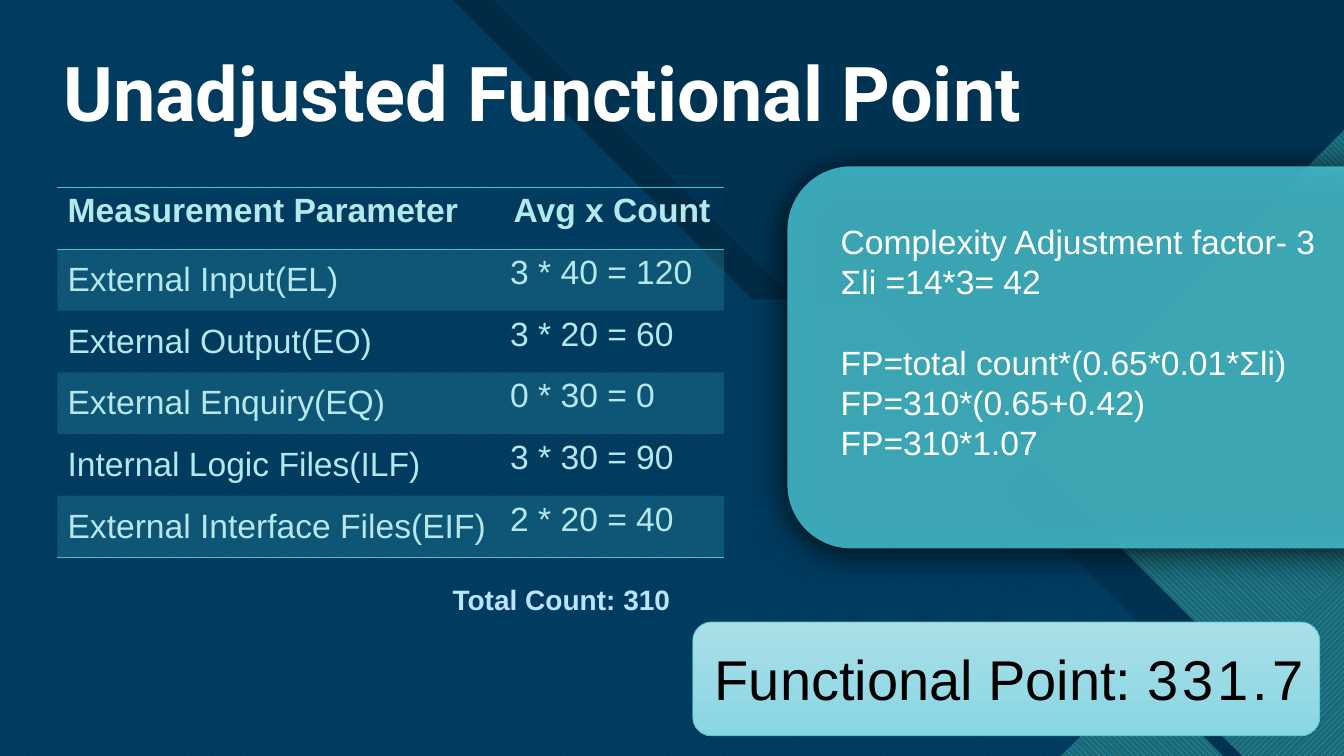
from dataclasses import dataclass
from lxml.etree import SubElement
from pptx import Presentation
from pptx.dml.color import RGBColor
from pptx.enum.dml import MSO_PATTERN
from pptx.enum.shapes import MSO_SHAPE
from pptx.enum.text import MSO_ANCHOR, PP_ALIGN
from pptx.oxml.ns import qn
from pptx.util import Inches, Pt


@dataclass(frozen=True)
class Theme:
    navy: str = "003352"
    black: str = "000000"
    white: str = "FFFFFF"
    aqua: str = "47C3D3"
    teal: str = "1B6872"
    azure: str = "2FAFFF"
    blue: str = "0065A4"
    pale_aqua: str = "B5E7ED"
    pale_blue: str = "BAE4FF"
    result_top: str = "AADFE8"
    result_bottom: str = "89D6E3"
    heading_font: str = "Roboto"
    body_font: str = "Arial"
    title: int = 54
    result: int = 40
    body: int = 24
    total: int = 20


UP = MSO_PATTERN.WIDE_UPWARD_DIAGONAL
DOWN = MSO_PATTERN.WIDE_DOWNWARD_DIAGONAL


def band(top, step, foot):
    return [(0, 0), (top, 0), (top + 2.97, 2.97), (top + 2.97 + step, 2.97), *foot, (0, 7.5)]


class SlideBuilder:
    def __init__(self, page, theme):
        self.page = page
        self.theme = theme

    def font(self, size, color, bold=False, name=None):
        return {"name": name or self.theme.body_font, "size": Pt(size), "bold": bold, "color": color}

    def apply(self, target, values):
        for key, value in values.items():
            if key == "color":
                target.color.rgb = RGBColor.from_string(value)
            else:
                setattr(target, key, value)

    def paint(self, fill, color, element=None, alpha=None):
        fill.solid()
        fill.fore_color.rgb = RGBColor.from_string(color)
        if alpha is not None:
            tint = next(element.iter(qn("a:srgbClr")))
            SubElement(tint, qn("a:alpha"), val=str(alpha * 1000))

    def outline(self, points, color, back=None, pattern=None, alpha=None):
        corners = [(Inches(x), Inches(y)) for x, y in points]
        builder = self.page.shapes.build_freeform(*corners[0])
        builder.add_line_segments(corners[1:], close=True)
        shape = builder.convert_to_shape()
        shape.shadow.inherit = False
        shape.line.fill.background()
        if pattern is None:
            self.paint(shape.fill, color, shape._element.spPr, alpha)
        else:
            shape.fill.patterned()
            shape.fill.pattern = pattern
            shape.fill.fore_color.rgb = RGBColor.from_string(color)
            shape.fill.back_color.rgb = RGBColor.from_string(back)

    def shape(self, kind, place):
        shape = self.page.shapes.add_shape(kind, *map(Inches, place))
        shape.shadow.inherit = False
        shape.line.fill.background()
        return shape

    def shadow(self, shape, blur, distance):
        effects = shape._element.spPr.find(qn("a:effectLst"))
        outer = SubElement(effects, qn("a:outerShdw"), blurRad=str(Pt(blur)),
                           dist=str(Pt(distance)), dir="5400000", rotWithShape="0")
        SubElement(outer, qn("a:srgbClr"), val=self.theme.black)

    def text(self, place, lines, font, wrap=True, frame=None, paragraph=None):
        box = self.page.shapes.add_textbox(*map(Inches, place))
        self.apply(box.text_frame, {"word_wrap": wrap, **(frame or {})})
        for index, line in enumerate(lines):
            para = box.text_frame.paragraphs[0] if index == 0 else box.text_frame.add_paragraph()
            self.apply(para, paragraph or {})
            span = para.add_run()
            span.text = line
            self.apply(span.font, font)
        return box.text_frame.paragraphs

    def borders(self, cell, colored):
        properties = cell._tc.get_or_add_tcPr()
        for side in ("lnL", "lnR", "lnT", "lnB"):
            edge = SubElement(properties, qn(f"a:{side}"), w=str(Pt(1)))
            if side in colored:
                solid = SubElement(edge, qn("a:solidFill"))
                SubElement(solid, qn("a:srgbClr"), val=self.theme.aqua)
            else:
                SubElement(edge, qn("a:noFill"))

    def table(self, place, widths, rows):
        table = self.page.shapes.add_table(len(rows), len(widths), *map(Inches, place)).table
        self.apply(table, {"first_row": False, "horz_banding": False})
        for column, width in zip(table.columns, widths):
            column.width = Inches(width)
        edges = {0: ("lnT", "lnB"), 1: ("lnT",), len(rows) - 1: ("lnB",)}
        for row, values in enumerate(rows):
            for column, value in enumerate(values):
                cell = table.cell(row, column)
                self.borders(cell, edges.get(row, ()))
                if row % 2:
                    cell.fill.background()
                    self.paint(cell.fill, self.theme.aqua, cell._tc.tcPr.find(qn("a:solidFill")), None)
                    tint = cell._tc.tcPr.find(qn("a:solidFill")).find(qn("a:srgbClr"))
                    SubElement(tint, qn("a:alpha"), val="20000")
                else:
                    cell.fill.background()
                if row and column == 0:
                    cell.vertical_anchor = MSO_ANCHOR.MIDDLE
                para = cell.text_frame.paragraphs[0]
                if row == 0 and column == 1:
                    para.alignment = PP_ALIGN.CENTER
                span = para.add_run()
                span.text = value
                self.apply(span.font, self.font(self.theme.body, self.theme.pale_aqua, row == 0))


def draw_background(slide, theme):
    slide.paint(slide.page.background.fill, theme.navy)
    slide.outline(band(4.9, 1.26, [(13.33, 7.17), (13.33, 7.5)]), theme.black)
    slide.outline(band(4.49, 1.26, [(13.25, 7.5)]), theme.aqua, theme.blue, UP)
    slide.outline(band(6.95, 1.26, [(13.33, 5.13), (13.33, 7.5)]), theme.navy, alpha=85)
    slide.outline([(13.33, 1.55), (13.33, 7.08), (12.2, 7.08), (10, 4.88)], theme.navy)
    slide.outline([(13.33, 1.29), (13.33, 7.37), (13.05, 7.37), (10.15, 4.47)],
                  theme.azure, theme.teal, DOWN)
    slide.outline([(13.33, 6.14), (13.33, 7.5), (11.97, 7.5)], theme.navy)
    slide.outline([(13.33, 5.66), (13.33, 7.5), (11.49, 7.5)], theme.azure, theme.teal, UP)
    slide.outline([(12.32, 7.5), (11.5, 6.69), (10.69, 7.5)], theme.navy)
    slide.outline([(10.52, 7.5), (11.33, 6.7), (12.13, 7.5)], theme.azure, theme.teal, DOWN)


def draw_adjustment(slide, theme):
    card = slide.shape(MSO_SHAPE.ROUNDED_RECTANGLE, (7.81, 1.65, 6.22, 3.79))
    slide.paint(card.fill, theme.aqua, card._element.spPr, 84)
    slide.shadow(card, 26, 3)
    lines = [
        "Complexity Adjustment factor- 3",
        "Σli =14*3= 42",
        "FP=total count*(0.65*0.01*Σli)",
        "FP=310*(0.65+0.42)",
        "FP=310*1.07",
    ]
    paras = slide.text((8.24, 2.14, 4.97, 2.52), lines, slide.font(theme.body, theme.white),
                       paragraph={"line_spacing": Pt(28.8)})
    paras[2].space_before = Pt(28.8)


def draw_result(slide, theme):
    card = slide.shape(MSO_SHAPE.ROUNDED_RECTANGLE, (6.87, 6.17, 6.22, 1.13))
    card.fill.gradient()
    card.fill.gradient_angle = 270
    for stop, color in zip(card.fill.gradient_stops, (theme.result_top, theme.result_bottom)):
        stop.color.rgb = RGBColor.from_string(color)
    slide.apply(card.line, {"color": theme.aqua, "width": Pt(0.5)})
    font = slide.font(theme.result, theme.black)
    paras = slide.text((6.99, 6.35, 6.35, 0.77), ["Functional Point: "], font, wrap=False)
    span = paras[0].add_run()
    span.text = "331.7"
    slide.apply(span.font, font)
    span.font._element.set("spc", "300")


def main():
    deck = Presentation()
    deck.slide_width, deck.slide_height = Inches(13.33), Inches(7.5)
    theme = Theme()
    slide = SlideBuilder(deck.slides.add_slide(deck.slide_layouts[6]), theme)
    draw_background(slide, theme)
    slide.text((0.53, 0.48, 11.25, 0.94), ["Unadjusted Functional Point"],
               slide.font(theme.title, theme.white, True, theme.heading_font),
               frame={"vertical_anchor": MSO_ANCHOR.BOTTOM}, paragraph={"line_spacing": 0.9})
    slide.table((0.57, 1.86, 6.61, 3.67), (4.39, 2.22), [
        ("Measurement Parameter", "Avg x Count"),
        ("External Input(EL)", "3 * 40 = 120"),
        ("External Output(EO)", "3 * 20 = 60"),
        ("External Enquiry(EQ)", "0 * 30 = 0"),
        ("Internal Logic Files(ILF)", "3 * 30 = 90"),
        ("External Interface Files(EIF)", "2 * 20 = 40"),
    ])
    slide.text((4.39, 5.73, 2.38, 0.44), ["Total Count: 310"],
               slide.font(theme.total, theme.pale_blue, True), wrap=False)
    draw_adjustment(slide, theme)
    draw_result(slide, theme)
    deck.save("out.pptx")


if __name__ == "__main__":
    main()
